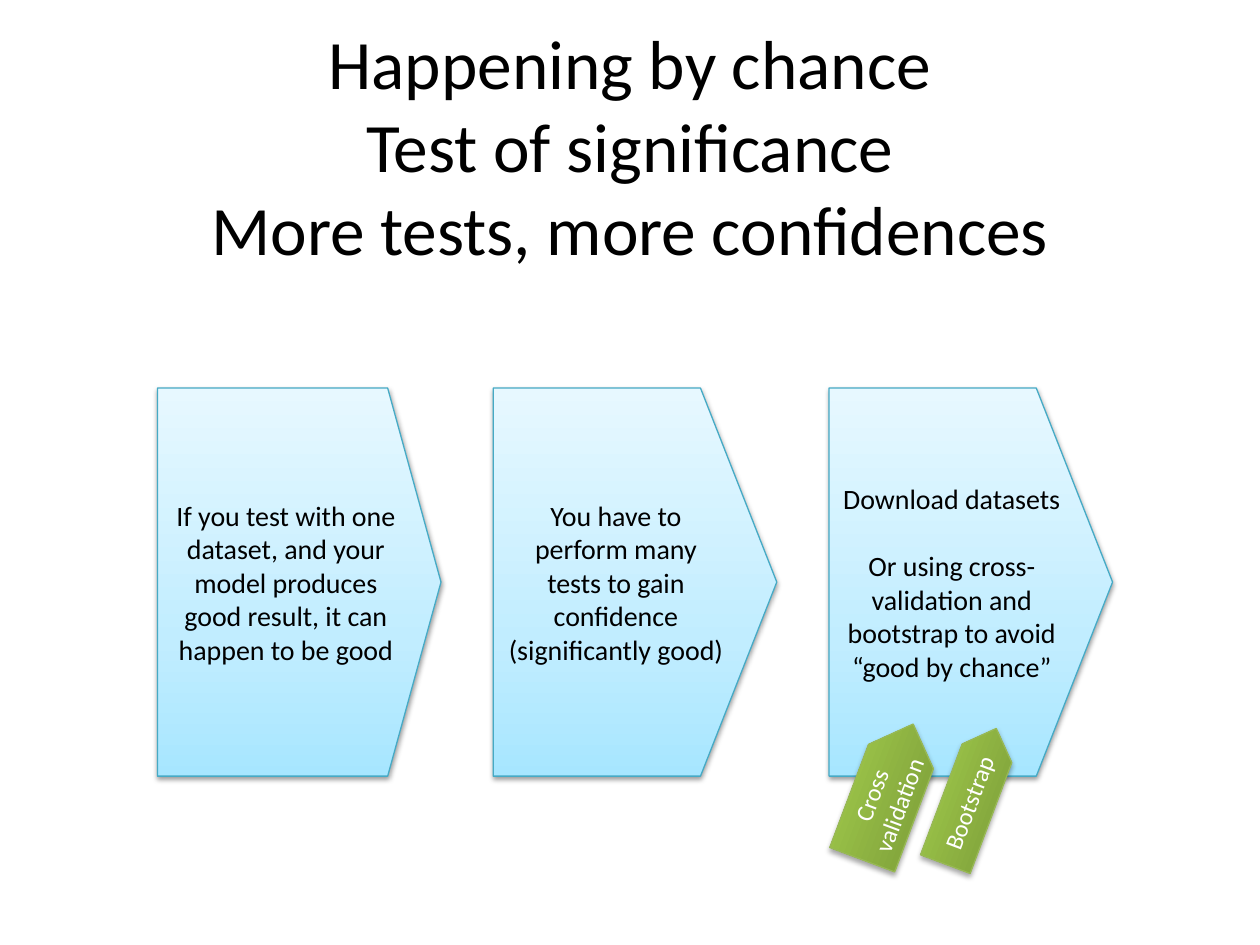
from copy import deepcopy
from dataclasses import dataclass

from pptx import Presentation
from pptx import oxml
from pptx import util as u
from pptx.dml import color
from pptx.enum import shapes, text
from pptx.oxml import ns


@dataclass(frozen=True)
class Style:
    """Look of one kind of arrow."""
    stops: tuple
    line: str
    font_color: str
    size: float
    shadow_opacity: int
    shadow_distance: float


@dataclass(frozen=True)
class Theme:
    """Colours and type sizes of the slide."""
    font: str = "Calibri"
    title_color: str = "000000"
    title_size: float = 39.6
    step: Style = Style(((0, "A7E6FF"), (0.35, "C1EDFF"), (1, "E7F8FF")),
                        "46AAC5", "000000", 16, 38, 1.6)
    method: Style = Style(((0, "779737"), (0.8, "9BC348"), (1, "9DC746")),
                          "98B955", "FFFFFF", 14, 35, 1.8)


THEME = Theme()
TITLE = "Happening by chance\vTest of significance\vMore tests, more confidences"
STEPS = (
    (0.188, 0, "If you test with one dataset, and your model produces good result, "
               "it can happen to be good"),
    (0.269, 0, "You have to perform many tests to gain confidence\n(significantly good)"),
    (0.269, 19.5, "Download datasets\nOr using cross-validation and bootstrap to avoid "
                  "“good by chance”"),
)
METHODS = (
    ("Cross validation", (6.47, 6.01, 1.15, 0.55)),
    ("Bootstrap", (7.13, 6.11, 1.15, 0.42)),
)


def set_text(shape, content, size, font_color, gap=0):
    """Write centred text with a gap in points between paragraphs."""
    frame = shape.text_frame
    frame.text = content
    frame.word_wrap = True
    frame.vertical_anchor = text.MSO_ANCHOR.MIDDLE
    for index, paragraph in enumerate(frame.paragraphs):
        paragraph.alignment = text.PP_ALIGN.CENTER
        paragraph.space_before = u.Pt(gap if index else 0)
        for run in paragraph.runs:
            run.font.name = THEME.font
            run.font.size = u.Pt(size)
            run.font.color.rgb = color.RGBColor.from_string(font_color)


def set_gradient(shape, stops):
    """Fill a shape with an upward gradient of the given stops."""
    shape.fill.gradient()
    shape.fill.gradient_angle = 90
    stop_list = shape.element.spPr.find(".//" + ns.qn("a:gsLst"))
    while len(stop_list) < len(stops):
        stop_list.append(deepcopy(stop_list[-1]))
    for stop, (position, value) in zip(shape.fill.gradient_stops, stops):
        stop.position = position
        stop.color.rgb = color.RGBColor.from_string(value)


def set_shadow(shape, style):
    """Give a shape a soft shadow below it."""
    shape.shadow.inherit = False
    effects = shape.element.spPr.find(ns.qn("a:effectLst"))
    effects.append(oxml.parse_xml(
        f'<a:outerShdw {ns.nsdecls("a")} blurRad="{u.Pt(3.1)}" '
        f'dist="{u.Pt(style.shadow_distance)}" dir="5400000" rotWithShape="0">'
        f'<a:srgbClr val="000000"><a:alpha val="{style.shadow_opacity * 1000}"/>'
        '</a:srgbClr></a:outerShdw>'))


def add_arrow(slide, box, content, style, point=0.5, gap=0):
    """Draw one pentagon arrow with text in the box."""
    shape = slide.shapes.add_shape(shapes.MSO_SHAPE.PENTAGON, *box)
    shape.adjustments[0] = point
    set_gradient(shape, style.stops)
    shape.line.color.rgb = color.RGBColor.from_string(style.line)
    shape.line.width = u.Pt(0.75)
    set_shadow(shape, style)
    set_text(shape, content, style.size, style.font_color, gap)
    return shape


def add_title(slide, box):
    """Place the three-line title in the box."""
    set_text(slide.shapes.add_textbox(*box), TITLE, THEME.title_size, THEME.title_color)


def add_steps(slide, box):
    """Spread the step arrows evenly over the box."""
    left, top, width, height = box
    arrow_width = u.Inches(2.25)
    pitch = (width - arrow_width) // (len(STEPS) - 1)
    for index, (point, gap, content) in enumerate(STEPS):
        arrow_box = (left + index * pitch, top, arrow_width, height)
        add_arrow(slide, arrow_box, content, THEME.step, point, gap)


def add_method(slide, box, content):
    """Place a tilted method arrow that is centred on the box."""
    add_arrow(slide, box, content, THEME.method).rotation = 290.6


def inches(*lengths):
    """Convert a box in inches to lengths."""
    return tuple(u.Inches(length) for length in lengths)


def main():
    """Build and save the slide."""
    presentation = Presentation()
    presentation.slide_width, presentation.slide_height = inches(10, 7.5)
    slide = presentation.slides.add_slide(presentation.slide_layouts[6])
    add_title(slide, inches(0.5, 0.3, 9, 1.7))
    add_steps(slide, inches(1.25, 3.08, 7.58, 3.08))
    for content, box in METHODS:
        add_method(slide, inches(*box), content)
    presentation.save("out.pptx")


if __name__ == "__main__":
    main()
